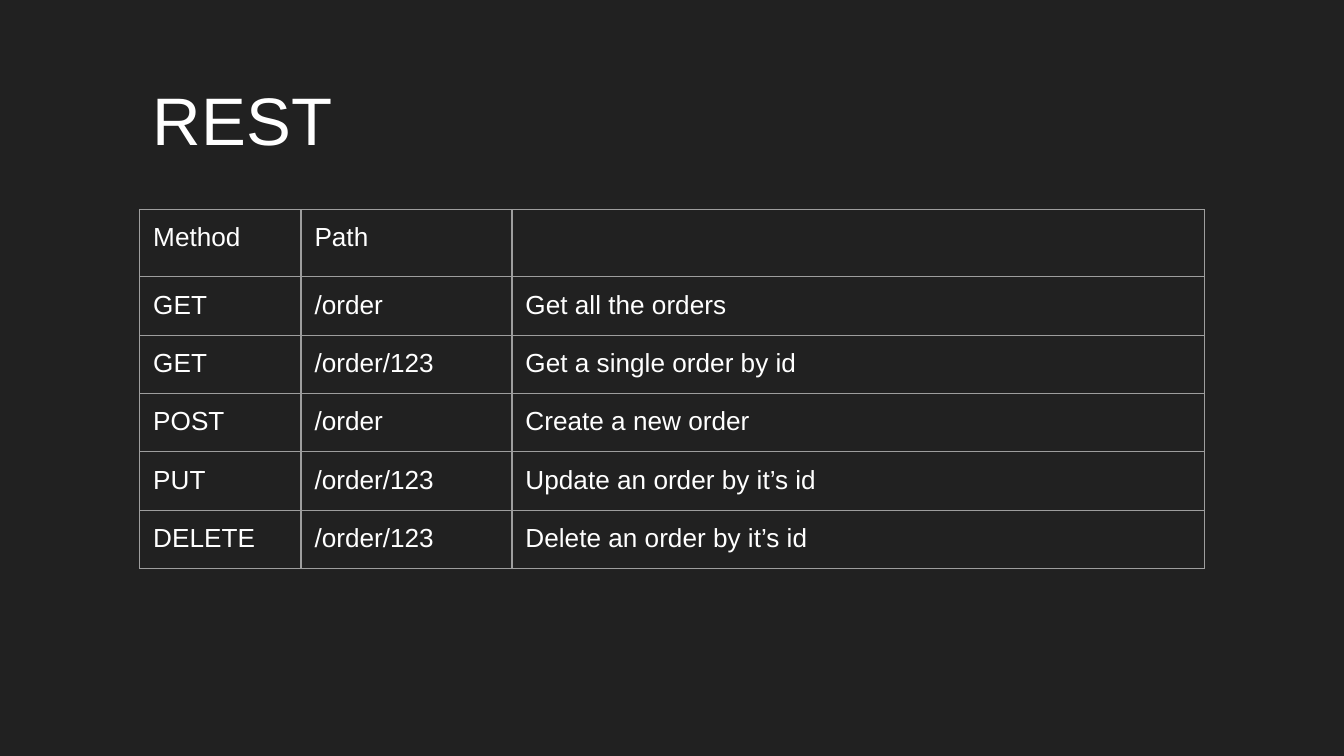
"""Build a dark slide with a table of REST methods and paths."""
from lxml import etree
from pptx import Presentation
from pptx.dml.color import RGBColor
from pptx.enum.text import MSO_ANCHOR
from pptx.oxml.ns import qn
from pptx.util import Inches, Pt

MIDDLE = MSO_ANCHOR.MIDDLE
TOP = MSO_ANCHOR.TOP
BACKGROUND = RGBColor(0x21, 0x21, 0x21)
WHITE = RGBColor(0xFF, 0xFF, 0xFF)
BORDER = RGBColor(0x9E, 0x9E, 0x9E)

INSET = Inches(0.1)
LEFT = Inches(1.04)
ROW_HEIGHT = Inches(0.42)
COLUMN_WIDTHS = [Inches(width) for width in (1.2, 1.57, 5.15)]
ROWS = [
    ("Method", "Path", ""),
    ("GET", "/order", "Get all the orders"),
    ("GET", "/order/123", "Get a single order by id"),
    ("POST", "/order", "Create a new order"),
    ("PUT", "/order/123", "Update an order by it’s id"),
    ("DELETE", "/order/123", "Delete an order by it’s id"),
]
SLIDE_SIZE = {"slide_width": Inches(10), "slide_height": Inches(10) * 9 // 16}
MARGINS = {f"margin_{side}": INSET for side in ("left", "top", "right", "bottom")}
TITLE_FRAME = {**MARGINS, "word_wrap": True, "vertical_anchor": MIDDLE}
CELL_FORMAT = {**MARGINS, "vertical_anchor": TOP}
PLAIN_TABLE = {"first_row": False, "horz_banding": False}
PARAGRAPH_FORMAT = {"line_spacing": 1.0, "space_before": Pt(0), "space_after": Pt(0)}


def apply_format(target, values):
    for name, value in values.items():
        setattr(target, name, value)


def add_text(paragraph, text, size):
    apply_format(paragraph, PARAGRAPH_FORMAT)
    properties = []
    if text:
        run = paragraph.add_run()
        run.text = text
        run.font.size = Pt(size)
        run.font.color.rgb = WHITE
        properties.append(run._r.get_or_add_rPr())
    properties.append(
        etree.SubElement(paragraph._p, qn("a:endParaRPr"), sz=str(size * 100))
    )
    for item in properties:
        for script in ("a:latin", "a:ea", "a:cs"):
            etree.SubElement(item, qn(script), typeface="Arial")


presentation = Presentation()
apply_format(presentation, SLIDE_SIZE)
slide = presentation.slides.add_slide(presentation.slide_layouts[6])
slide.background.fill.solid()
slide.background.fill.fore_color.rgb = BACKGROUND

title = slide.shapes.add_textbox(LEFT, Inches(0.44), Inches(3.74), Inches(0.88))
apply_format(title.text_frame, TITLE_FRAME)
add_text(title.text_frame.paragraphs[0], "REST", 36)

table = slide.shapes.add_table(
    len(ROWS), len(COLUMN_WIDTHS), LEFT, Inches(1.56),
    sum(COLUMN_WIDTHS), ROW_HEIGHT * len(ROWS),
).table
apply_format(table, PLAIN_TABLE)
for column, width in zip(table.columns, COLUMN_WIDTHS):
    column.width = width

for row, texts in zip(table.rows, ROWS):
    row.height = ROW_HEIGHT
    for cell, text in zip(row.cells, texts):
        apply_format(cell, CELL_FORMAT)
        add_text(cell.text_frame.paragraphs[0], text, 14 if text else 18)
        properties = cell._tc.get_or_add_tcPr()
        for edge in ("a:lnL", "a:lnR", "a:lnT", "a:lnB"):
            line = etree.SubElement(properties, qn(edge), w=str(Pt(0.75)))
            fill = etree.SubElement(line, qn("a:solidFill"))
            etree.SubElement(fill, qn("a:srgbClr"), val=str(BORDER))
        cell.fill.background()

presentation.save("out.pptx")
